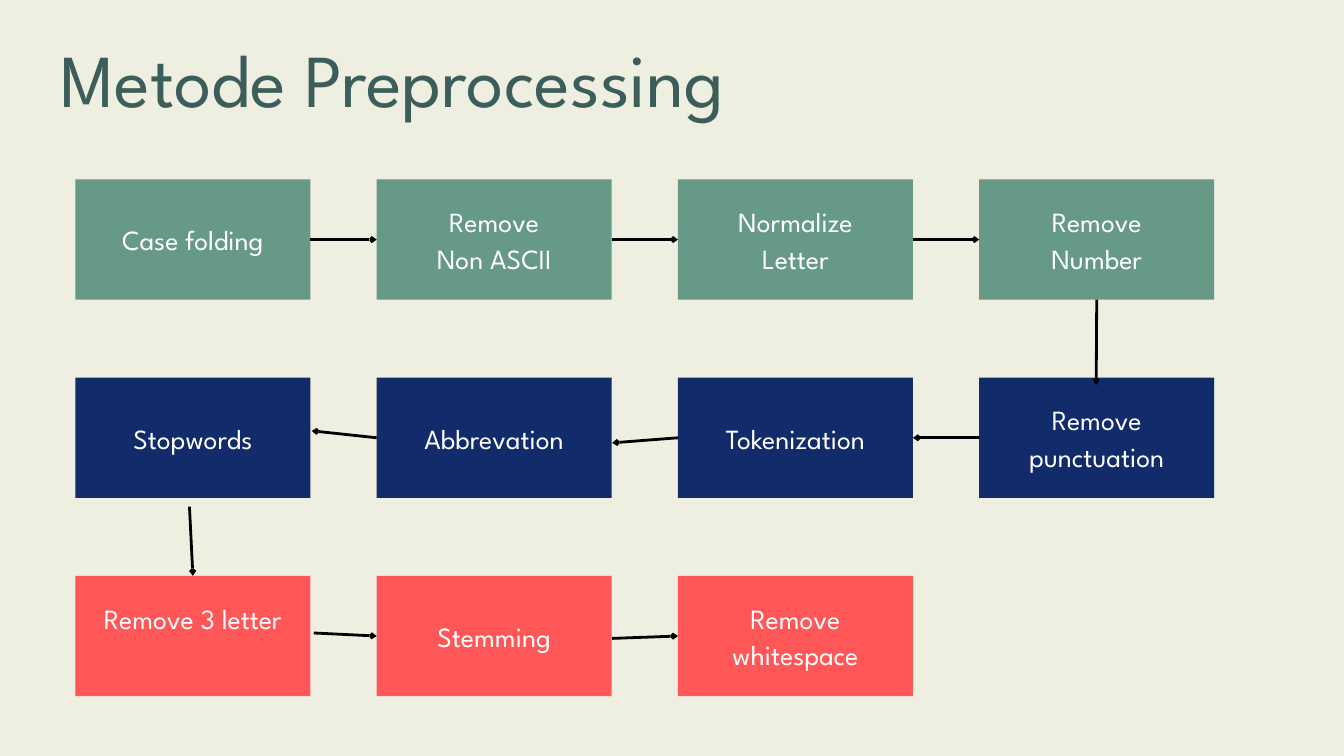
from dataclasses import dataclass

from lxml.etree import SubElement
from pptx import Presentation
from pptx.dml.color import RGBColor
from pptx.enum.shapes import MSO_CONNECTOR as Connector, MSO_SHAPE as Shape
from pptx.enum.text import MSO_ANCHOR as Anchor, PP_ALIGN as Align
from pptx.oxml.ns import qn
from pptx.util import Pt


@dataclass(frozen=True)
class Theme:
    font: str = "League Spartan"
    paper: str = "EEEFE0"
    title: str = "3C5E5B"
    cleaning: str = "679987"
    tokens: str = "112B6B"
    finishing: str = "FF5757"
    label: str = "FFFFFF"
    arrow: str = "000000"
    title_size: float = 80
    title_leading: float = 106.4
    label_size: float = 29.7
    label_leading: float = 39.5


theme = Theme()


def write(shape, text, size, leading, color, align=Align.LEFT,
          anchor=Anchor.TOP, insets=(0, 0, 0, 0)):
    frame = shape.text_frame
    frame.word_wrap = True
    frame.vertical_anchor = anchor
    (frame.margin_left, frame.margin_top,
     frame.margin_right, frame.margin_bottom) = map(Pt, insets)
    for number, line in enumerate(text.split("\n")):
        para = frame.add_paragraph() if number else frame.paragraphs[0]
        para.alignment = align
        para.line_spacing = Pt(leading)
        span = para.add_run()
        span.text = line
        span.font.name = theme.font
        span.font.size = Pt(size)
        span.font.color.rgb = RGBColor.from_string(color)


deck = Presentation()
deck.slide_width, deck.slide_height = Pt(1440), Pt(810)
page = deck.slides.add_slide(deck.slide_layouts[6])
page.background.fill.solid()
page.background.fill.fore_color.rgb = RGBColor.from_string(theme.paper)

# Title
heading = page.shapes.add_textbox(Pt(64.8), Pt(24.5), Pt(1345.7), Pt(103.7))
write(heading, "Metode Preprocessing", theme.title_size, theme.title_leading, theme.title)

# Step boxes, one colour per row, listed from left to right
LEFT, TOP, WIDTH, HEIGHT = 80.8, 192.2, 251.8, 128.9
COLUMN_STEP, ROW_STEP = 322.8, 212.4
rows = [
    (theme.cleaning, ["Case folding", "Remove\nNon ASCII", "Normalize\nLetter", "Remove\nNumber"]),
    (theme.tokens, ["Stopwords", "Abbrevation", "Tokenization", "Remove\npunctuation"]),
    (theme.finishing, ["Remove 3 letter", "Stemming", "Remove whitespace"]),
]
boxes = {}
for row, (color, labels) in enumerate(rows):
    for column, label in enumerate(labels):
        box = page.shapes.add_shape(
            Shape.RECTANGLE, Pt(LEFT + column * COLUMN_STEP), Pt(TOP + row * ROW_STEP),
            Pt(WIDTH), Pt(HEIGHT))
        box.shadow.inherit = False
        box.fill.solid()
        box.fill.fore_color.rgb = RGBColor.from_string(color)
        box.line.fill.background()
        raised = label == "Remove 3 letter"
        write(box, label, theme.label_size, theme.label_leading, theme.label,
              align=Align.CENTER, anchor=Anchor.TOP if raised else Anchor.MIDDLE,
              insets=(26, 24 if raised else 0, 26, 0 if raised else 3))
        boxes[row, column] = box

# Arrows: an end is either (box, side) or a free point (x, y)
UP, WEST, DOWN, EAST = range(4)
arrows = [((boxes[0, column], EAST), (boxes[0, column + 1], WEST)) for column in range(3)]
arrows += [
    ((boxes[0, 3], DOWN), (1174.5, 412.5)),
    ((boxes[1, 3], WEST), (boxes[1, 2], EAST)),
    ((boxes[1, 2], WEST), (655.9, 474.5)),
    ((boxes[1, 1], WEST), (334, 461.6)),
    ((203, 542.8), (boxes[2, 0], UP)),
    ((336.2, 678.2), (boxes[2, 1], WEST)),
    ((655.9, 684), (boxes[2, 2], WEST)),
]
for start, end in arrows:
    arrow = page.shapes.add_connector(Connector.STRAIGHT, 0, 0, 0, 0)
    if start[0] in boxes.values():
        arrow.begin_connect(*start)
    else:
        arrow.begin_x, arrow.begin_y = map(Pt, start)
    if end[0] in boxes.values():
        arrow.end_connect(*end)
    else:
        arrow.end_x, arrow.end_y = map(Pt, end)
    arrow.line.width = Pt(3)
    arrow.line.color.rgb = RGBColor.from_string(theme.arrow)
    SubElement(arrow.line._get_or_add_ln(), qn("a:tailEnd"), type="arrow", w="sm", len="sm")
    SubElement(arrow._element.spPr, qn("a:effectLst"))

deck.save("out.pptx")
